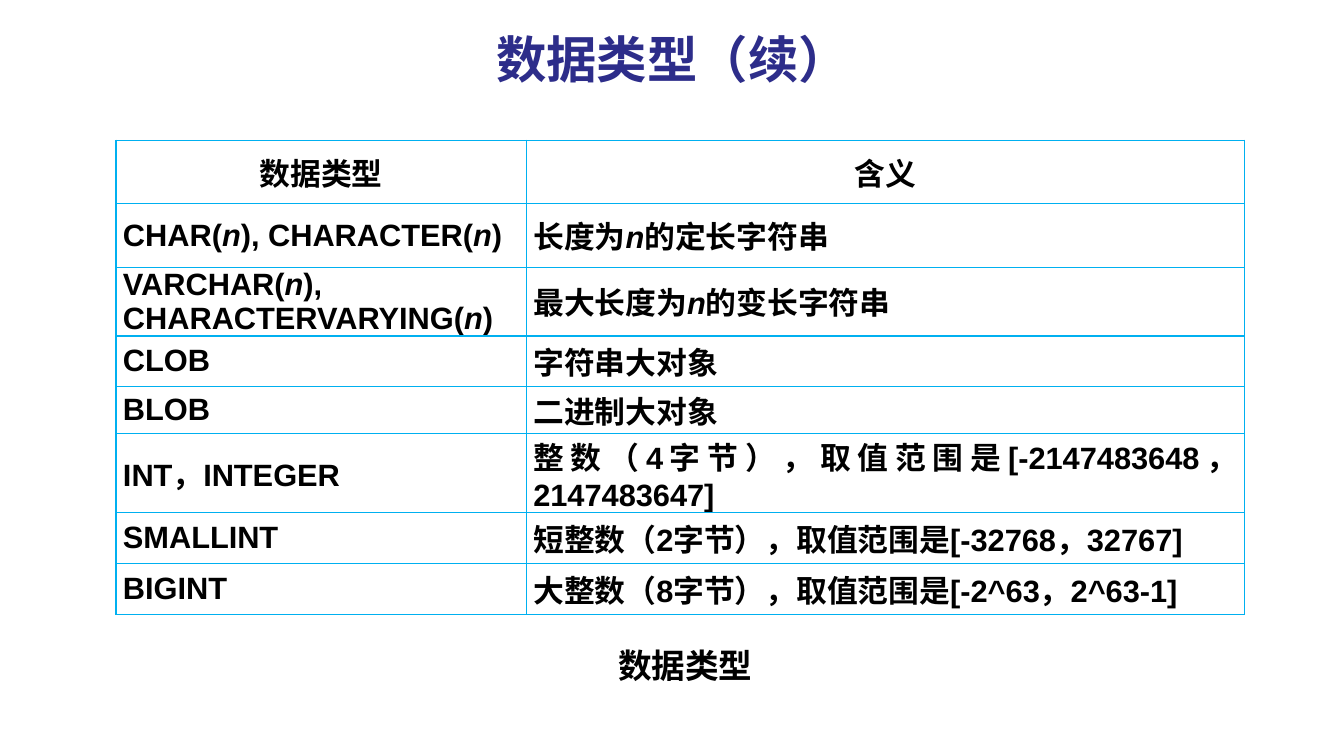
import pptx
import pptx.dml.color
import pptx.enum.shapes
import pptx.enum.text
import pptx.oxml
import pptx.oxml.ns
import pptx.util
from pptx.util import Inches

ALIGN = pptx.enum.text.PP_ALIGN
MIDDLE = pptx.enum.text.MSO_ANCHOR.MIDDLE
COLORS = {"title": "2D2D8A", "text": "000000", "border": "00B0F0", "white": "FFFFFF"}

COLUMN_WIDTHS = [4.07, 7.12]
ROW_HEIGHTS = [0.63, 0.63, 0.6, 0.5, 0.47, 0.6, 0.5, 0.51]
# Text between asterisks is italic.
DATA_TYPES = [
    ("数据类型", "含义"),
    ("CHAR(*n*), CHARACTER(*n*)", "长度为*n*的定长字符串"),
    ("VARCHAR(*n*),\nCHARACTERVARYING(*n*)", "最大长度为*n*的变长字符串"),
    ("CLOB", "字符串大对象"),
    ("BLOB", "二进制大对象"),
    ("INT，INTEGER", "整数（4字节），取值范围是[-2147483648，2147483647]"),
    ("SMALLINT", "短整数（2字节），取值范围是[-32768，32767]"),
    ("BIGINT", "大整数（8字节），取值范围是[-2^63，2^63-1]"),
]


class SlideBuilder:
    def __init__(self, slide):
        self.slide = slide

    def color(self, name):
        return pptx.dml.color.RGBColor.from_string(COLORS[name])

    def fill_text(self, frame, text, size, align, color="text", font="Arial"):
        """Fill a text frame, one paragraph per line, with *italic* parts."""
        for index, line in enumerate(text.split("\n")):
            paragraph = frame.add_paragraph() if index else frame.paragraphs[0]
            paragraph.alignment = align
            paragraph.font.name = font
            paragraph.font.size = pptx.util.Pt(size)
            paragraph.font.bold = True
            paragraph.font.color.rgb = self.color(color)
            for part_index, part in enumerate(line.split("*")):
                if part:
                    run = paragraph.add_run()
                    run.text = part
                    if part_index % 2:
                        run.font.italic = True

    def title(self, text, left, top, width, height):
        box = self.slide.shapes.add_textbox(
            Inches(left), Inches(top), Inches(width), Inches(height))
        box.text_frame.word_wrap = True
        box.text_frame.vertical_anchor = MIDDLE
        self.fill_text(box.text_frame, text, 36, ALIGN.CENTER, "title")

    def caption(self, text, left, top, width, height, indent):
        shape = self.slide.shapes.add_shape(
            pptx.enum.shapes.MSO_SHAPE.RECTANGLE,
            Inches(left), Inches(top), Inches(width), Inches(height))
        shape.shadow.inherit = False
        shape.fill.solid()
        shape.fill.fore_color.rgb = self.color("white")
        shape.line.fill.background()
        frame = shape.text_frame
        frame.word_wrap = True
        frame.vertical_anchor = pptx.enum.text.MSO_ANCHOR.TOP
        frame.margin_left = Inches(indent)
        self.fill_text(frame, text, 24, ALIGN.LEFT, font="Times New Roman")

    def border(self, cell):
        properties = cell._tc.get_or_add_tcPr()
        for position, side in enumerate(("lnL", "lnR", "lnT", "lnB")):
            line = pptx.oxml.parse_xml(
                f'<a:{side} {pptx.oxml.ns.nsdecls("a")} w="12700"><a:solidFill>'
                f'<a:srgbClr val="{COLORS["border"]}"/></a:solidFill></a:{side}>')
            properties.insert(position, line)

    def table(self, rows, left, top, widths, heights):
        table = self.slide.shapes.add_table(
            len(rows), len(widths), Inches(left), Inches(top),
            Inches(sum(widths)), Inches(sum(heights))).table
        for column, width in zip(table.columns, widths):
            column.width = Inches(width)
        for row_index, (row, height) in enumerate(zip(rows, heights)):
            table.rows[row_index].height = Inches(height)
            align = ALIGN.JUSTIFY if row_index else ALIGN.CENTER
            for column_index, text in enumerate(row):
                cell = table.cell(row_index, column_index)
                cell.fill.background()
                cell.vertical_anchor = MIDDLE
                cell.margin_left = cell.margin_right = Inches(0.07)
                cell.margin_top = cell.margin_bottom = 0
                self.fill_text(cell.text_frame, text, 22, align)
                self.border(cell)


def main():
    presentation = pptx.Presentation()
    presentation.slide_width = Inches(13.33)
    presentation.slide_height = Inches(7.5)
    builder = SlideBuilder(presentation.slides.add_slide(presentation.slide_layouts[6]))
    builder.table(DATA_TYPES, 1.15, 1.39, COLUMN_WIDTHS, ROW_HEIGHTS)
    builder.title("数据类型（续）", 2.17, -0.04, 9, 1.24)
    builder.caption("数据类型", 4.23, 6.35, 5.27, 0.5, indent=1.9)
    presentation.save("out.pptx")


if __name__ == "__main__":
    main()
